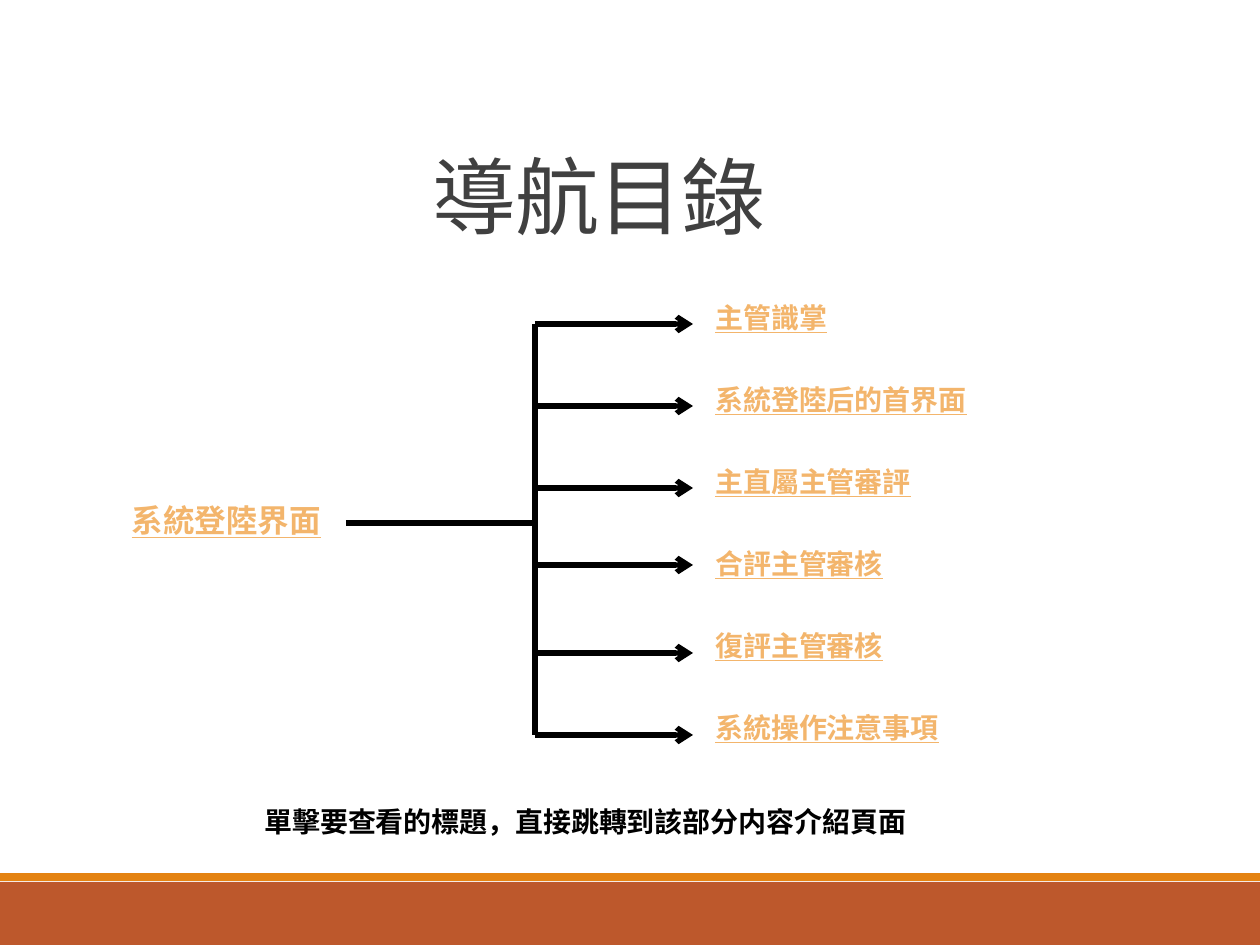
from dataclasses import dataclass

from lxml.etree import SubElement
from pptx import Presentation
from pptx.dml.color import RGBColor
from pptx.enum.shapes import MSO_CONNECTOR, MSO_SHAPE
from pptx.enum.text import MSO_ANCHOR, MSO_AUTO_SIZE, PP_ALIGN
from pptx.oxml.ns import qn
from pptx.util import Emu, Pt


@dataclass(frozen=True)
class Theme:
    band: str = "BD582C"
    stripe: str = "E48312"
    title: str = "404040"
    link: str = "F3B56C"
    ink: str = "000000"
    cjk_font: str = "Noto Sans CJK SC"
    body_font: str = "Arial"
    title_size: int = 48
    root_size: int = 18
    body_size: int = 16
    line_width: int = 3


THEME = Theme()
EMU_PER_PX = 914400 / 126
SLIDE_W, SLIDE_H = 1260, 945

TRUNK_X, ARROW_END = 535, 693
LABEL_X, LABEL_TOP, LABEL_STEP, LABEL_H = 703, 294, 82, 46
# label, label width, arrow y
BRANCHES = [
    ("主管識掌", 410, 324),
    ("系統登陸后的首界面", 305, 406),
    ("主直屬主管審評", 325, 488),
    ("合評主管審核", 410, 565),
    ("復評主管審核", 410, 653),
    ("系統操作注意事項", 284, 735),
]


def px(n):
    return Emu(round(n * EMU_PER_PX))


def add_run(p, text, font, size, color, bold=True, underline=False):
    r = p.add_run()
    r.text = text
    r.font.name = font
    r.font.size = Pt(size)
    r.font.bold = bold
    r.font.underline = underline
    r.font.color.rgb = RGBColor.from_string(color)
    SubElement(r.font._element, qn("a:ea"), typeface=THEME.cjk_font)
    return r


def add_bar(s, top, height, color):
    sp = s.shapes.add_shape(MSO_SHAPE.RECTANGLE, 0, px(top), px(SLIDE_W), px(height))
    sp.shadow.inherit = False
    sp.fill.solid()
    sp.fill.fore_color.rgb = RGBColor.from_string(color)
    sp.line.fill.background()


def add_text(s, text, box, font, size, color, align=PP_ALIGN.LEFT, underline=False):
    tf = s.shapes.add_textbox(*map(px, box)).text_frame
    tf.word_wrap = True
    tf.auto_size = MSO_AUTO_SIZE.SHAPE_TO_FIT_TEXT
    p = tf.paragraphs[0]
    p.alignment = align
    add_run(p, text, font, size, color, underline=underline)


def add_line(s, x1, y1, x2, y2, arrow=False):
    cx = s.shapes.add_connector(MSO_CONNECTOR.STRAIGHT, *map(px, (x1, y1, x2, y2)))
    cx.line.width = Pt(THEME.line_width)
    cx.line.color.rgb = RGBColor.from_string(THEME.ink)
    if arrow:
        SubElement(cx.line._get_or_add_ln(), qn("a:tailEnd"), type="arrow")
    SubElement(cx._element.spPr, qn("a:effectLst"))


def set_title(s, text):
    title = s.shapes.title
    title.left, title.top, title.width, title.height = map(px, (420, 139, 368, 113))
    tf = title.text_frame
    tf.word_wrap = True
    tf.auto_size = MSO_AUTO_SIZE.NONE
    tf.vertical_anchor = MSO_ANCHOR.BOTTOM
    p = tf.paragraphs[0]
    p.alignment = PP_ALIGN.LEFT
    p.line_spacing = 0.85
    r = add_run(p, text, THEME.cjk_font, THEME.title_size, THEME.title, bold=False)
    r.font._element.set("spc", "-50")


def add_tree(s):
    """Root label, trunk, and one arrow with its label per branch."""
    add_text(s, "系統登陸界面", (116, 495, 220, 50), THEME.cjk_font,
             THEME.root_size, THEME.link, PP_ALIGN.CENTER, underline=True)
    add_line(s, 346, 523, TRUNK_X, 523)
    add_line(s, TRUNK_X, BRANCHES[0][2], TRUNK_X, BRANCHES[-1][2])
    for i, (label, width, y) in enumerate(BRANCHES):
        add_line(s, TRUNK_X, y, ARROW_END, y, arrow=True)
        add_text(s, label, (LABEL_X, LABEL_TOP + i * LABEL_STEP, width, LABEL_H),
                 THEME.body_font, THEME.body_size, THEME.link, underline=True)


def main():
    prs = Presentation()
    prs.slide_width, prs.slide_height = px(SLIDE_W), px(SLIDE_H)
    s = prs.slides.add_slide(prs.slide_layouts[5])
    add_bar(s, 882, 63, THEME.band)
    add_bar(s, 873, 8, THEME.stripe)
    set_title(s, "導航目錄")
    add_text(s, "單擊要查看的標題，直接跳轉到該部分内容介紹頁面", (252, 798, 683, 46),
             THEME.body_font, THEME.body_size, THEME.ink)
    add_tree(s)
    prs.save("out.pptx")


if __name__ == "__main__":
    main()
